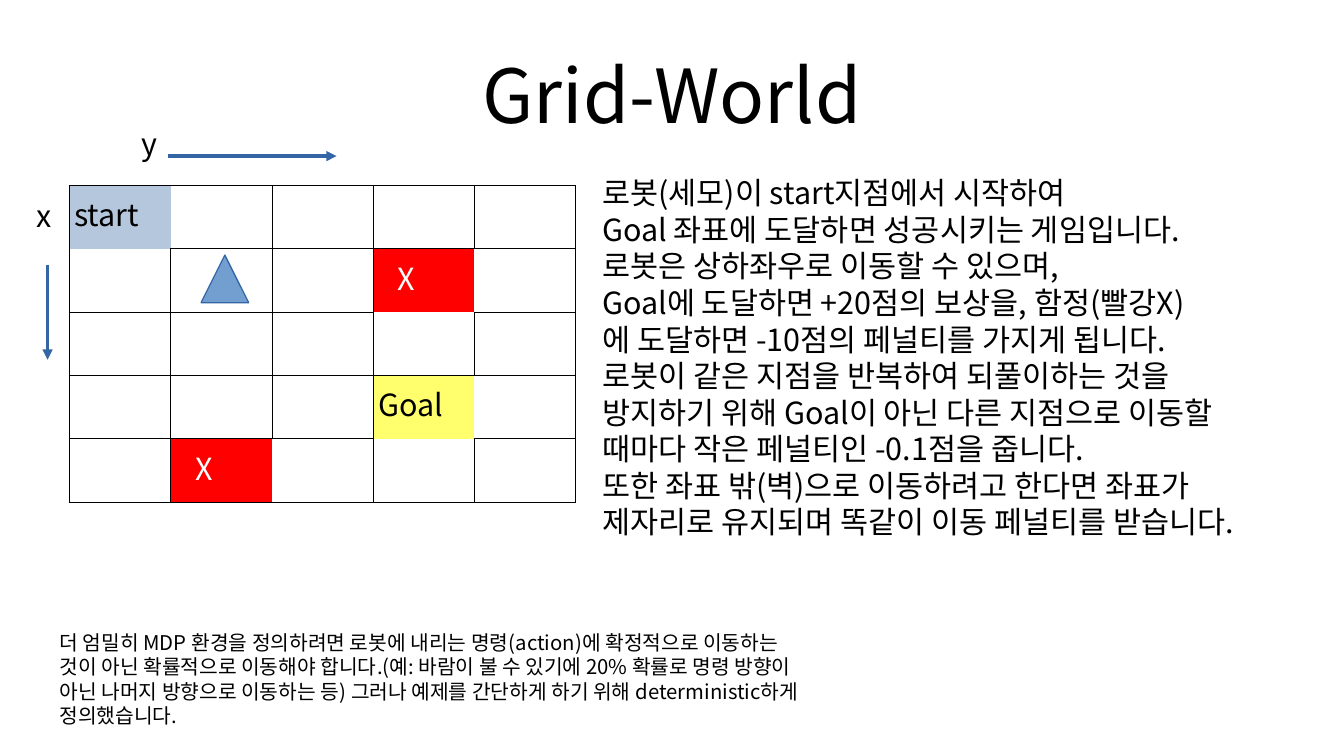
from lxml import etree
from pptx import Presentation
from pptx.dml.color import RGBColor
from pptx.enum.shapes import MSO_CONNECTOR, MSO_SHAPE
from pptx.enum.text import MSO_ANCHOR, PP_ALIGN
from pptx.oxml.ns import qn
from pptx.util import Inches, Pt

STRAIGHT, TRIANGLE = MSO_CONNECTOR.STRAIGHT, MSO_SHAPE.ISOSCELES_TRIANGLE
CENTER, MIDDLE = PP_ALIGN.CENTER, MSO_ANCHOR.MIDDLE
TITLE_ONLY = 5
FONT = "Noto Sans CJK KR"
BLACK, WHITE, RED, BLUE = "000000", "FFFFFF", "FF0000", "3465A4"
GRID_SIZE, CELL_WIDTH, CELL_HEIGHT = 5, 0.83, 0.52
GRID_LEFT, GRID_TOP = 0.57, 1.52
SIDES = {"lnL": (0, -1), "lnR": (0, 1), "lnT": (-1, 0), "lnB": (1, 0)}

# (row, column): text, fill, text colour, left margin
MARKED_CELLS = {
    (0, 0): ("start", "B4C7DC", BLACK, 0.04),
    (1, 3): ("X", RED, WHITE, 0.2),
    (3, 3): ("Goal", "FFFF6D", BLACK, 0.04),
    (4, 1): ("X", RED, WHITE, 0.2),
}
RULES = [
    "로봇(세모)이 start지점에서 시작하여",
    "Goal 좌표에 도달하면 성공시키는 게임입니다.",
    "로봇은 상하좌우로 이동할 수 있으며,",
    "Goal에 도달하면 +20점의 보상을, 함정(빨강X)",
    "에 도달하면 -10점의 페널티를 가지게 됩니다.",
    "로봇이 같은 지점을 반복하여 되풀이하는 것을",
    "방지하기 위해 Goal이 아닌 다른 지점으로 이동할",
    "때마다 작은 페널티인 -0.1점을 줍니다.",
    "또한 좌표 밖(벽)으로 이동하려고 한다면 좌표가",
    "제자리로 유지되며 똑같이 이동 페널티를 받습니다.",
]
MDP_NOTE = [
    "더 엄밀히 MDP 환경을 정의하려면 로봇에 내리는 명령(action)에 확정적으로 이동하는",
    "것이 아닌 확률적으로 이동해야 합니다.(예: 바람이 불 수 있기에 20% 확률로 명령 방향이",
    "아닌 나머지 방향으로 이동하는 등) 그러나 예제를 간단하게 하기 위해 deterministic하게",
    "정의했습니다.",
]


def color(value):
    return RGBColor.from_string(value)


def inches(*lengths):
    return [Inches(length) for length in lengths]


def write(frame, lines, size, fill=BLACK, align=None):
    for index, line in enumerate(lines):
        para = frame.paragraphs[0] if index == 0 else frame.add_paragraph()
        para.alignment = align
        span = para.add_run()
        span.text = line
        for name, value in {"size": Pt(size), "name": FONT}.items():
            setattr(span.font, name, value)
        span.font.color.rgb = color(fill)
        east_asian = etree.SubElement(span.font._element, qn("a:ea"))
        east_asian.set("typeface", FONT)


def add_title(page, box):
    title = page.shapes.title
    for name, value in zip(("left", "top", "width", "height"), inches(*box)):
        setattr(title, name, value)
    frame = title.text_frame
    frame.vertical_anchor = MIDDLE
    for side in ("left", "top", "right", "bottom"):
        setattr(frame, f"margin_{side}", 0)
    write(frame, ["Grid-World"], 44, align=CENTER)


def add_text(page, box, lines, size=18):
    frame = page.shapes.add_textbox(*inches(*box)).text_frame
    frame.word_wrap = False
    write(frame, lines, size)


def draw_borders(cell, row, column):
    """Outline a cell, leaving open the sides of a plain cell that face a marked one."""
    properties = cell._tc.get_or_add_tcPr()
    for tag, (down, right) in SIDES.items():
        border = etree.SubElement(properties, qn(f"a:{tag}"), w=str(Pt(0.57)))
        faces_marked = (row + down, column + right) in MARKED_CELLS
        if faces_marked and (row, column) not in MARKED_CELLS:
            etree.SubElement(border, qn("a:noFill"))
        else:
            fill = etree.SubElement(border, qn("a:solidFill"))
            etree.SubElement(fill, qn("a:srgbClr"), val=BLACK)


def add_grid(page, left, top):
    box = inches(left, top, GRID_SIZE * CELL_WIDTH, GRID_SIZE * CELL_HEIGHT)
    table = page.shapes.add_table(GRID_SIZE, GRID_SIZE, *box).table
    table.first_row = table.horz_banding = False
    margins = {"margin_right": 0.04, "margin_top": 0.05, "margin_bottom": 0.05}
    for row in range(GRID_SIZE):
        for column in range(GRID_SIZE):
            cell = table.cell(row, column)
            draw_borders(cell, row, column)
            if (row, column) not in MARKED_CELLS:
                cell.fill.background()
                continue
            text, fill, text_color, indent = MARKED_CELLS[row, column]
            for name, value in {**margins, "margin_left": indent}.items():
                setattr(cell, name, Inches(value))
            cell.fill.solid()
            cell.fill.fore_color.rgb = color(fill)
            write(cell.text_frame, [text], 18, text_color)


def add_robot(page, box):
    robot = page.shapes.add_shape(TRIANGLE, *inches(*box))
    robot.shadow.inherit = False
    robot.fill.solid()
    robot.fill.fore_color.rgb = color("729FCF")
    robot.line.color.rgb = color(BLUE)
    robot.line.width = Pt(0)


def add_axis(page, label, label_box, start, end):
    add_text(page, label_box, [label])
    arrow = page.shapes.add_connector(STRAIGHT, *inches(*start, *end))
    arrow.line.color.rgb = color(BLUE)
    arrow.line.width = Pt(0)
    etree.SubElement(arrow.line._get_or_add_ln(), qn("a:tailEnd"), type="triangle")
    etree.SubElement(arrow._element.spPr, qn("a:effectLst"))


def main():
    deck = Presentation()
    deck.slide_width, deck.slide_height = inches(11.02, 6.2)
    page = deck.slides.add_slide(deck.slide_layouts[TITLE_ONLY])
    add_title(page, (0.55, 0.25, 9.92, 1.04))
    add_grid(page, GRID_LEFT, GRID_TOP)
    robot_left = GRID_LEFT + 1.3 * CELL_WIDTH
    robot_top = GRID_TOP + 1.1 * CELL_HEIGHT
    add_robot(page, (robot_left, robot_top, 0.39, 0.39))
    add_text(page, (4.84, 1.38, 5.94, 4.41), RULES)
    add_axis(page, "x", (0.2, 1.57, 0.31, 0.44), (0.39, 2.17), (0.39, 2.95))
    add_axis(page, "y", (1.06, 0.98, 0.34, 0.44), (1.38, 1.28), (2.76, 1.28))
    add_text(page, (0.39, 5.12, 6.85, 1.07), MDP_NOTE, 12)
    deck.save("out.pptx")


if __name__ == "__main__":
    main()
